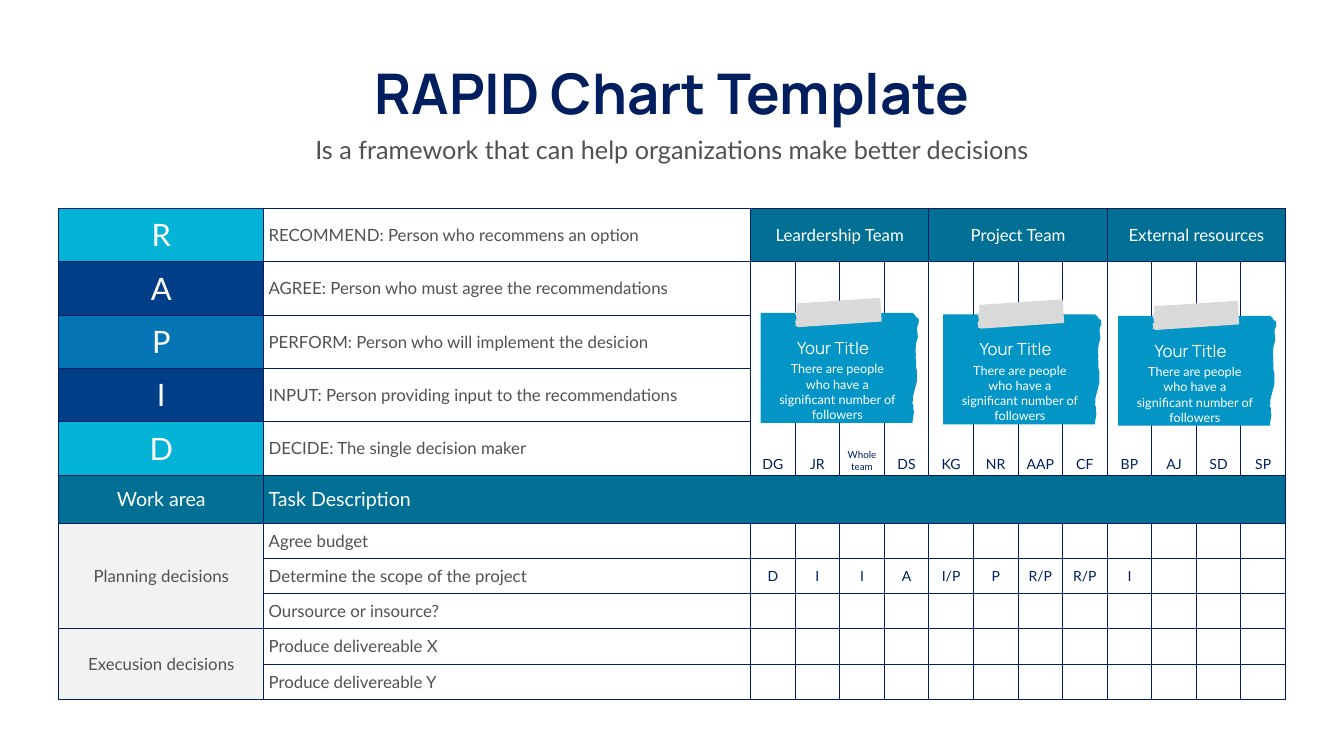
from dataclasses import dataclass

from lxml.etree import SubElement
from pptx import Presentation
from pptx.dml.color import RGBColor
from pptx.enum.text import MSO_ANCHOR, MSO_AUTO_SIZE, PP_ALIGN
from pptx.oxml.ns import qn
from pptx.util import Pt

NAVY, TEAL, WHITE, GREY = "011F5E", "027094", "FFFFFF", "515052"
CYAN, DARK_BLUE, BLUE, PALE = "03B4D7", "003F88", "0675B5", "F2F2F2"
NOTE_BLUE, TAPE_GREY = "0395C6", "D9D9D9"


@dataclass
class Style:
    size: float
    color: str
    font: str = "Lato"
    bold: bool = False
    align: PP_ALIGN = PP_ALIGN.CENTER


@dataclass
class Note:
    left: float
    top: float
    title: str = "Your Title"
    body: str = "There are people who have a significant number of followers"


@dataclass
class Role:
    letter: str
    description: str
    color: str


LETTER = Style(44, WHITE)
HEADING = Style(24, WHITE)
SECTION = Style(28, WHITE)
SECTION_LEFT = Style(28, WHITE, align=PP_ALIGN.LEFT)
LABEL = Style(24, GREY)
LABEL_LEFT = Style(24, GREY, align=PP_ALIGN.LEFT)
CODE = Style(20, NAVY)
SMALL_CODE = Style(14, NAVY)

ROLES = [
    Role("R", "RECOMMEND: Person who recommens an option", CYAN),
    Role("A", "AGREE: Person who must agree the recommendations", DARK_BLUE),
    Role("P", "PERFORM: Person who will implement the desicion", BLUE),
    Role("I", "INPUT: Person providing input to the recommendations", DARK_BLUE),
    Role("D", "DECIDE: The single decision maker", CYAN),
]
TEAMS = ["Leardership Team", "Project Team", "External resources"]
MEMBERS = ["DG", "JR", "Whole team", "DS", "KG", "NR", "AAP", "CF", "BP", "AJ", "SD", "SP"]
SCOPE_CODES = ["D", "I", "I", "A", "I/P", "P", "R/P", "R/P", "I"]
WORK_AREAS = {
    "Planning decisions": {
        "Agree budget": [],
        "Determine the scope of the project": SCOPE_CODES,
        "Oursource or insource?": [],
    },
    "Execusion decisions": {"Produce delivereable X": [], "Produce delivereable Y": []},
}
COLUMN_WIDTHS = [292.3, 695.5] + [63.67] * len(MEMBERS)
ROW_HEIGHTS = [76.3] * 5 + [68.4] + [50.4] * 5

# Outlines in points from the top left corner of a note
PAPER = [
    (0, 0), (217, 0), (220.3, 2.9), (222, 6), (225.4, 8), (225.8, 10.5), (225.4, 15),
    (223.2, 21), (223.9, 29.5), (224.6, 33.8), (222, 43), (221, 54), (221.8, 60.5),
    (221, 63.4), (221.8, 67), (221.8, 77), (223.2, 83), (223, 98), (219.6, 111),
    (217.4, 119.5), (217.4, 126), (216, 128.2), (218.2, 131.8), (218.2, 138.2),
    (218.9, 141.8), (217.4, 150.5), (216.7, 157), (0, 157),
]
TAPE = [
    (172.8, 12.2), (54, 20.2), (51.8, 19.4), (49, 18), (50.4, 15.8), (49, 13),
    (51.1, 8.6), (50.4, 3.6), (49, 0.7), (51.1, -3.6), (51.8, -7.2), (52.6, -7.9),
    (51.1, -10.8), (51.8, -13.7), (170.6, -21.6),
]
NOTES = [Note(1086.5, 447.1), Note(1347.1, 449.2), Note(1597, 451.2)]


def rgb(color: str) -> RGBColor:
    return RGBColor.from_string(color)


def write(text_frame, text: str, style: Style) -> None:
    text_frame.text = text
    paragraph = text_frame.paragraphs[0]
    paragraph.alignment = style.align
    for run in paragraph.runs:
        run.font.size = Pt(style.size)
        run.font.name = style.font
        run.font.bold = style.bold
        run.font.color.rgb = rgb(style.color)


def add_text(slide, left: float, top: float, width: float, height: float,
             text: str, style: Style) -> None:
    shape = slide.shapes.add_textbox(Pt(left), Pt(top), Pt(width), Pt(height))
    shape.text_frame.word_wrap = True
    write(shape.text_frame, text, style)


def add_outline(slide, left: float, top: float, points: list, color: str) -> None:
    corners = [(Pt(left + x), Pt(top + y)) for x, y in points]
    builder = slide.shapes.build_freeform(*corners[0], scale=1.0)
    builder.add_line_segments(corners[1:], close=True)
    shape = builder.convert_to_shape()
    shape.shadow.inherit = False
    shape.fill.solid()
    shape.fill.fore_color.rgb = rgb(color)
    shape.line.fill.background()


def add_note(slide, note: Note) -> None:
    add_outline(slide, note.left, note.top, PAPER, NOTE_BLUE)
    add_outline(slide, note.left, note.top, TAPE, TAPE_GREY)
    add_text(slide, note.left - 6.5, note.top + 31.7, 219.6, 36, note.title,
             Style(24, WHITE, "Manrope"))
    add_text(slide, note.left + 18, note.top + 65.5, 183, 72.7, note.body, Style(18, WHITE))


def set_borders(cell) -> None:
    properties = cell._tc.get_or_add_tcPr()
    for side in ("a:lnL", "a:lnR", "a:lnT", "a:lnB"):
        line = SubElement(properties, qn(side), w=str(Pt(1.5)))
        SubElement(SubElement(line, qn("a:solidFill")), qn("a:srgbClr"), val=NAVY)


def fill_cell(cell, text: str, style: Style, color: str = WHITE,
              anchor: MSO_ANCHOR = MSO_ANCHOR.MIDDLE) -> None:
    write(cell.text_frame, text, style)
    cell.vertical_anchor = anchor
    cell.fill.solid()
    cell.fill.fore_color.rgb = rgb(color)


def add_rapid_table(slide) -> None:
    table = slide.shapes.add_table(
        len(ROW_HEIGHTS), len(COLUMN_WIDTHS), Pt(84.2), Pt(297.4),
        Pt(sum(COLUMN_WIDTHS)), Pt(sum(ROW_HEIGHTS))).table
    table.first_row = table.horz_banding = False
    for column, width in zip(table.columns, COLUMN_WIDTHS):
        column.width = Pt(width)
    for row, height in zip(table.rows, ROW_HEIGHTS):
        row.height = Pt(height)
    for cell in table.iter_cells():
        set_borders(cell)
        fill_cell(cell, "", CODE)

    # Roles
    for row, role in enumerate(ROLES):
        fill_cell(table.cell(row, 0), role.letter, LETTER, role.color)
        fill_cell(table.cell(row, 1), role.description, LABEL_LEFT)

    # Teams and their members
    for index, team in enumerate(TEAMS):
        column = 2 + 4 * index
        table.cell(0, column).merge(table.cell(0, column + 3))
        fill_cell(table.cell(0, column), team, HEADING, TEAL)
    for column, member in enumerate(MEMBERS, start=2):
        table.cell(1, column).merge(table.cell(4, column))
        style = SMALL_CODE if len(member) > 3 else CODE
        fill_cell(table.cell(1, column), member, style, anchor=MSO_ANCHOR.BOTTOM)

    # Task header
    row = len(ROLES)
    table.cell(row, 1).merge(table.cell(row, len(COLUMN_WIDTHS) - 1))
    fill_cell(table.cell(row, 0), "Work area", SECTION, TEAL)
    fill_cell(table.cell(row, 1), "Task Description", SECTION_LEFT, TEAL)

    # Tasks by work area
    row += 1
    for area, tasks in WORK_AREAS.items():
        table.cell(row, 0).merge(table.cell(row + len(tasks) - 1, 0))
        fill_cell(table.cell(row, 0), area, LABEL, PALE)
        for task, codes in tasks.items():
            fill_cell(table.cell(row, 1), task, LABEL_LEFT)
            for column, code in enumerate(codes, start=2):
                fill_cell(table.cell(row, column), code, CODE)
            row += 1


def main() -> None:
    presentation = Presentation()
    presentation.slide_width, presentation.slide_height = Pt(1919.5), Pt(1080)
    slide = presentation.slides.add_slide(presentation.slide_layouts[5])

    # Title and subtitle
    title = slide.shapes.title
    title.left, title.top, title.width, title.height = Pt(496), Pt(80.6), Pt(927.4), Pt(104.4)
    write(title.text_frame, "RAPID Chart Template", Style(80, NAVY, "Manrope", True))
    title.text_frame.word_wrap = False
    title.text_frame.vertical_anchor = MSO_ANCHOR.TOP
    title.text_frame.auto_size = MSO_AUTO_SIZE.SHAPE_TO_FIT_TEXT
    add_text(slide, 210.2, 187.9, 1499, 51.1,
             "Is a framework that can help organizations make better decisions", Style(36, GREY))

    # Table with taped notes on top
    add_rapid_table(slide)
    for note in NOTES:
        add_note(slide, note)
    presentation.save("out.pptx")


if __name__ == "__main__":
    main()
